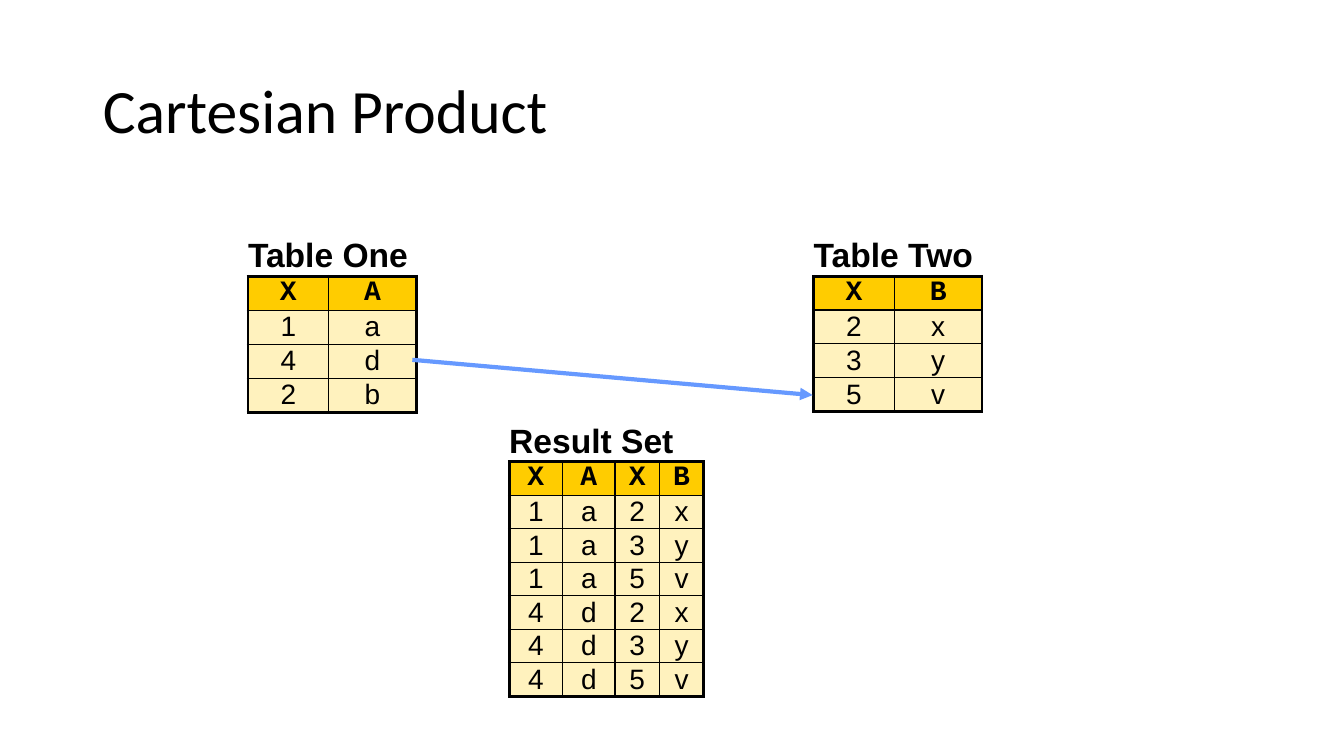
import itertools
import lxml.etree
import pptx
import pptx.dml.color
import pptx.enum.shapes
import pptx.enum.text
import pptx.oxml
import pptx.oxml.ns
import pptx.util
from pptx.util import Inches

# Content
TITLE = "Cartesian Product"
TABLE_ONE = [("1", "a"), ("4", "d"), ("2", "b")]
TABLE_TWO = [("2", "x"), ("3", "y"), ("5", "v")]
RESULT_SET = [one + two for one, two in itertools.product(TABLE_ONE[:2], TABLE_TWO)]

# caption, column names, rows, left, top, height, column widths
TABLES = [
    ("Table One", "XA", TABLE_ONE, 2.46, 2.34, 1.75, (0.8, 0.87)),
    ("Table Two", "XB", TABLE_TWO, 8.07, 2.34, 1.74, (0.8, 0.87)),
    ("Result Set", "XAXB", RESULT_SET, 5.05, 4.18, 2.73, (0.53, 0.52, 0.44, 0.44)),
]
ARROW = (4.09, 3.57, 8.06, 3.92)


class Theme:
    text, arrow = "000000", "6699FF"
    header, body = "FFCC00", "FFF2BE"
    title_font, body_font, header_font = "Calibri", "Arial", "Courier New"
    title_size, caption_size, cell_size = 44, 24, 20
    outer, inner, arrow_width = 2.25, 1, 3
    caption_height, side_margin = 0.4, 0.1


def rgb(value):
    return pptx.dml.color.RGBColor.from_string(value)


def set_font(paragraph, name, size, bold=False):
    paragraph.font.name = name
    paragraph.font.size = pptx.util.Pt(size)
    paragraph.font.bold = bold
    paragraph.font.color.rgb = rgb(Theme.text)


def set_borders(cell, widths):
    """Draw the left, right, top and bottom borders; width 0 means none."""
    properties = cell._tc.get_or_add_tcPr()
    for index, (side, width) in enumerate(zip("LRTB", widths)):
        paint = (f'<a:solidFill><a:srgbClr val="{Theme.text}"/></a:solidFill>'
                 if width else "<a:noFill/>")
        properties.insert(index, pptx.oxml.parse_xml(
            f'<a:ln{side} {pptx.oxml.ns.nsdecls("a")} w="{pptx.util.Pt(width)}">'
            f"{paint}</a:ln{side}>"))


def format_cell(cell, text, font, size, bold, fill, margin, align):
    cell.text = text
    cell.vertical_anchor = pptx.enum.text.MSO_ANCHOR.MIDDLE
    cell.margin_left = cell.margin_right = Inches(margin)
    cell.margin_top = cell.margin_bottom = 0
    if fill:
        cell.fill.solid()
        cell.fill.fore_color.rgb = rgb(fill)
    else:
        cell.fill.background()
    paragraph = cell.text_frame.paragraphs[0]
    paragraph.alignment = align
    set_font(paragraph, font, size, bold)


def add_data_table(slide, caption, names, rows, left, top, height, widths):
    grid_rows = [tuple(names)] + rows
    last_row, last_column = len(grid_rows), len(widths) - 1
    table = slide.shapes.add_table(
        last_row + 1, len(widths), Inches(left), Inches(top),
        Inches(sum(widths)), Inches(height)).table
    table.first_row = table.horz_banding = False
    for column, width in zip(table.columns, widths):
        column.width = Inches(width)
    for number, row in enumerate(table.rows):
        row.height = Inches((height - Theme.caption_height) / last_row
                            if number else Theme.caption_height)

    # Caption row
    table.cell(0, 0).merge(table.cell(0, last_column))
    format_cell(table.cell(0, 0), caption, Theme.body_font, Theme.caption_size,
                True, None, 0, pptx.enum.text.PP_ALIGN.LEFT)
    for column in range(len(widths)):
        set_borders(table.cell(0, column), (0, 0, 0, Theme.outer))

    # Column names and values
    for r, values in enumerate(grid_rows, start=1):
        is_header = r == 1
        for c, value in enumerate(values):
            cell = table.cell(r, c)
            format_cell(cell, value,
                        Theme.header_font if is_header else Theme.body_font,
                        Theme.cell_size, is_header,
                        Theme.header if is_header else Theme.body,
                        Theme.side_margin, pptx.enum.text.PP_ALIGN.CENTER)
            edges = (c == 0, c == last_column, is_header, r == last_row)
            set_borders(cell, [Theme.outer if edge else Theme.inner for edge in edges])


def main():
    deck = pptx.Presentation()
    deck.slide_width, deck.slide_height = Inches(13.33), Inches(7.5)
    slide = deck.slides.add_slide(deck.slide_layouts[5])

    # Title
    title = slide.shapes.title
    title.left, title.top = Inches(0.92), Inches(0.4)
    title.width, title.height = Inches(11.5), Inches(1.45)
    title.text_frame.text = TITLE
    title.text_frame.vertical_anchor = pptx.enum.text.MSO_ANCHOR.MIDDLE
    heading = title.text_frame.paragraphs[0]
    heading.alignment = pptx.enum.text.PP_ALIGN.LEFT
    heading.line_spacing = 0.9
    set_font(heading, Theme.title_font, Theme.title_size)

    # Tables
    for table in TABLES:
        add_data_table(slide, *table)

    # Arrow from a row of Table One to a row of Table Two
    arrow = slide.shapes.add_connector(
        pptx.enum.shapes.MSO_CONNECTOR.STRAIGHT, *map(Inches, ARROW))
    arrow.line.color.rgb = rgb(Theme.arrow)
    arrow.line.width = pptx.util.Pt(Theme.arrow_width)
    lxml.etree.SubElement(arrow.line._get_or_add_ln(),
                          pptx.oxml.ns.qn("a:tailEnd"), type="triangle")
    lxml.etree.SubElement(arrow._element.spPr, pptx.oxml.ns.qn("a:effectLst"))

    deck.save("out.pptx")


if __name__ == "__main__":
    main()
